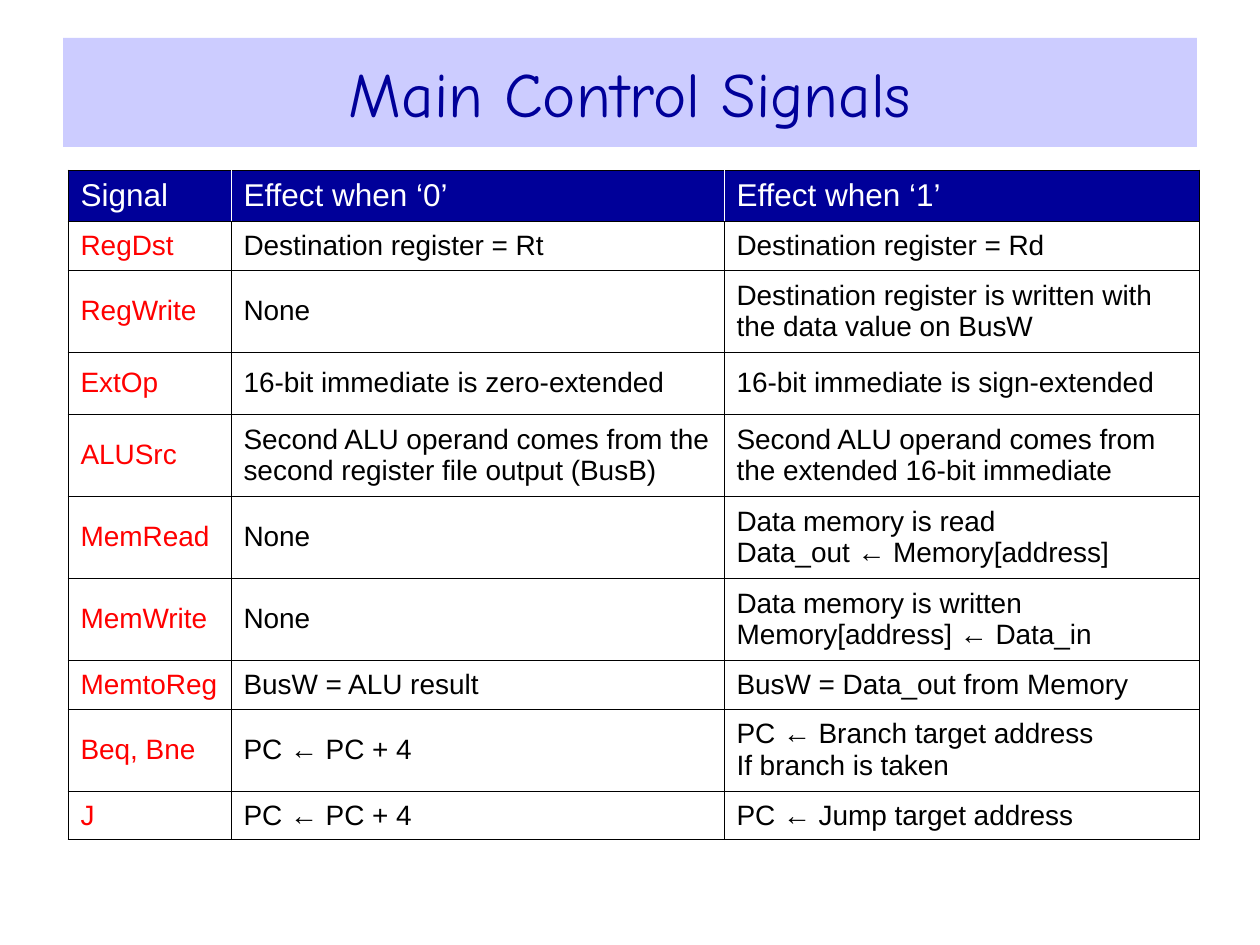
from dataclasses import dataclass

from lxml.etree import SubElement
from pptx import Presentation
from pptx.dml.color import RGBColor
from pptx.enum.text import MSO_ANCHOR, PP_ALIGN
from pptx.oxml.ns import qn
from pptx.util import Emu, Pt

PIXELS_PER_INCH = 126


@dataclass(frozen=True)
class Theme:
    navy: str = "000099"
    lavender: str = "CCCCFF"
    red: str = "FF0000"
    black: str = "000000"
    white: str = "FFFFFF"
    title_font: str = "Comic Neue"
    table_font: str = "Arial"
    title_size: int = 36
    header_size: int = 18
    body_size: int = 16
    border_width: float = 0.45


@dataclass(frozen=True)
class Signal:
    name: str
    when_zero: str
    when_one: str
    height: int


THEME = Theme()
HEADER_HEIGHT, SINGLE, MEDIUM, DOUBLE = 51, 49, 62, 82
COLUMN_WIDTHS = (163, 493, 475)
SIGNALS = (
    Signal("Signal", "Effect when ‘0’", "Effect when ‘1’", HEADER_HEIGHT),
    Signal("RegDst", "Destination register = Rt", "Destination register = Rd", SINGLE),
    Signal("RegWrite", "None",
           "Destination register is written with the data value on BusW", DOUBLE),
    Signal("ExtOp", "16-bit immediate is zero-extended",
           "16-bit immediate is sign-extended", MEDIUM),
    Signal("ALUSrc", "Second ALU operand comes from the second register file output (BusB)",
           "Second ALU operand comes from the extended 16-bit immediate", DOUBLE),
    Signal("MemRead", "None", "Data memory is read\nData_out ← Memory[address]", DOUBLE),
    Signal("MemWrite", "None", "Data memory is written\nMemory[address] ← Data_in", DOUBLE),
    Signal("MemtoReg", "BusW = ALU result", "BusW = Data_out from Memory", SINGLE),
    Signal("Beq, Bne", "PC ← PC + 4",
           "PC ← Branch target address\nIf branch is taken", DOUBLE),
    Signal("J", "PC ← PC + 4", "PC ← Jump target address", SINGLE),
)


def px(length: int) -> Emu:
    return Emu(round(length * 914400 / PIXELS_PER_INCH))


def write_text(frame, text: str, *, font: str, size: int, color: str,
               align=PP_ALIGN.LEFT) -> None:
    for index, line in enumerate(text.split("\n")):
        para = frame.add_paragraph() if index else frame.paragraphs[0]
        para.alignment = align
        span = para.add_run()
        span.text = line
        span.font.name = font
        span.font.size = Pt(size)
        span.font.color.rgb = RGBColor.from_string(color)


def set_borders(cell, **colors: str) -> None:
    properties = cell._tc.get_or_add_tcPr()
    for position, side in enumerate(("left", "right", "top", "bottom")):
        line = properties.makeelement(qn(f"a:ln{side[0].upper()}"),
                                      {"w": str(Pt(THEME.border_width))})
        fill = SubElement(line, qn("a:solidFill"))
        SubElement(fill, qn("a:srgbClr"), val=colors.get(side, THEME.black))
        properties.insert(position, line)


def draw_title(page, text: str) -> None:
    title = page.shapes.title
    title.left, title.top, title.width, title.height = map(px, (63, 38, 1134, 109))
    title.fill.solid()
    title.fill.fore_color.rgb = RGBColor.from_string(THEME.lavender)
    title.text_frame.vertical_anchor = MSO_ANCHOR.MIDDLE
    write_text(title.text_frame, text, font=THEME.title_font, size=THEME.title_size,
               color=THEME.navy, align=PP_ALIGN.CENTER)


def draw_cell(cell, text: str, is_header: bool, column: int) -> None:
    cell.vertical_anchor = MSO_ANCHOR.MIDDLE
    cell.fill.solid()
    cell.fill.fore_color.rgb = RGBColor.from_string(THEME.navy if is_header else THEME.white)
    borders = {}
    if is_header:
        color, size = THEME.white, THEME.header_size
        if column > 0:
            borders["left"] = THEME.white
        if column < len(COLUMN_WIDTHS) - 1:
            borders["right"] = THEME.white
    else:
        color = THEME.black if column else THEME.red
        size = THEME.body_size
    set_borders(cell, **borders)
    write_text(cell.text_frame, text, font=THEME.table_font, size=size, color=color)


def draw_signal_table(page, signals: tuple[Signal, ...]) -> None:
    table = page.shapes.add_table(
        len(signals), len(COLUMN_WIDTHS), px(68), px(170), px(sum(COLUMN_WIDTHS)),
        px(sum(signal.height for signal in signals))).table
    table.horz_banding = False
    for column, width in zip(table.columns, COLUMN_WIDTHS):
        column.width = px(width)
    for row_index, signal in enumerate(signals):
        row = table.rows[row_index]
        row.height = px(signal.height)
        texts = (signal.name, signal.when_zero, signal.when_one)
        for column_index, text in enumerate(texts):
            draw_cell(row.cells[column_index], text, row_index == 0, column_index)
            if row_index == 0:
                row.cells[column_index].text_frame.paragraphs[0].runs[0].font.bold = False


def main() -> None:
    deck = Presentation()
    deck.slide_width, deck.slide_height = px(1260), px(945)
    page = deck.slides.add_slide(deck.slide_layouts[5])
    draw_signal_table(page, SIGNALS)
    draw_title(page, "Main Control Signals")
    deck.save("out.pptx")


if __name__ == "__main__":
    main()
